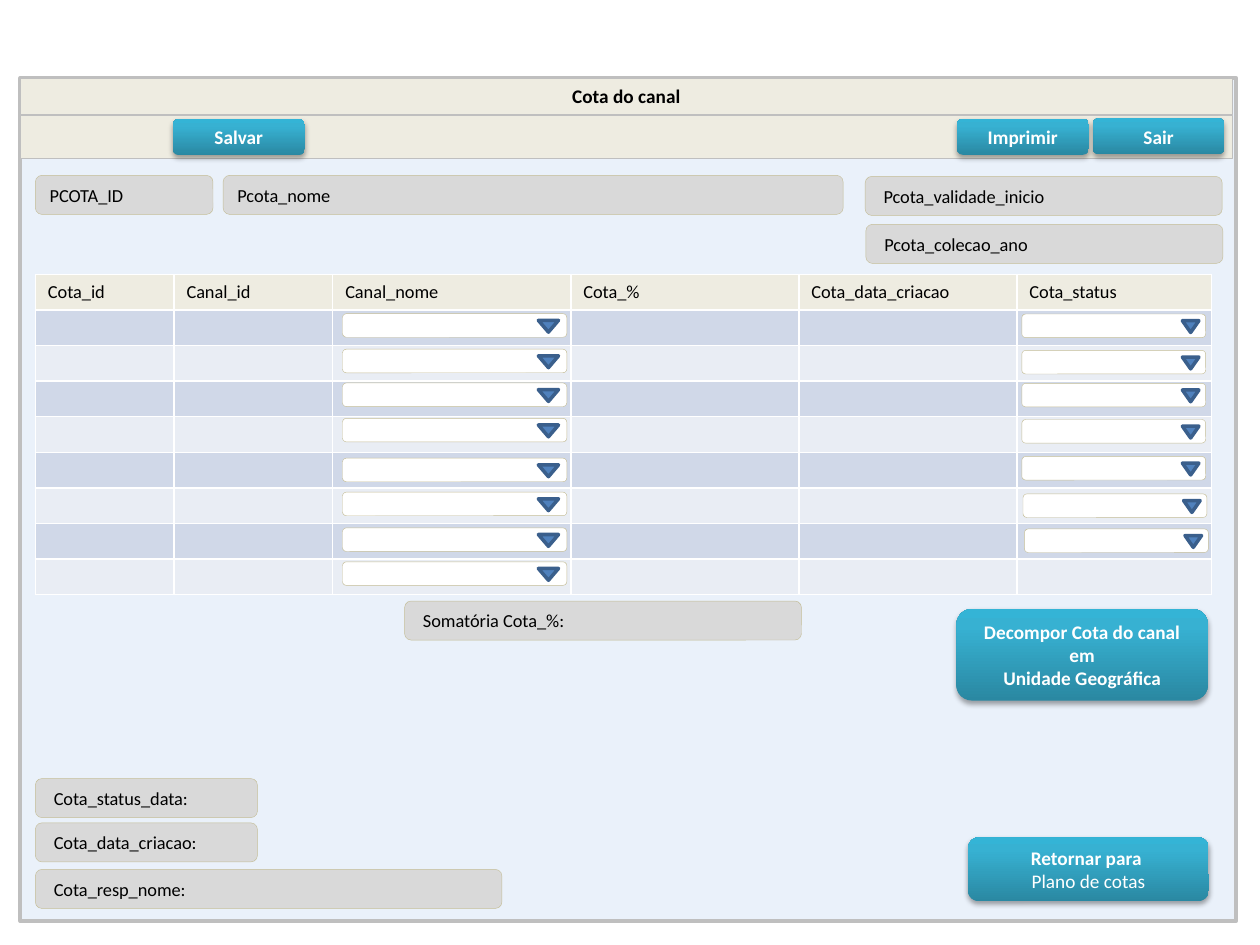
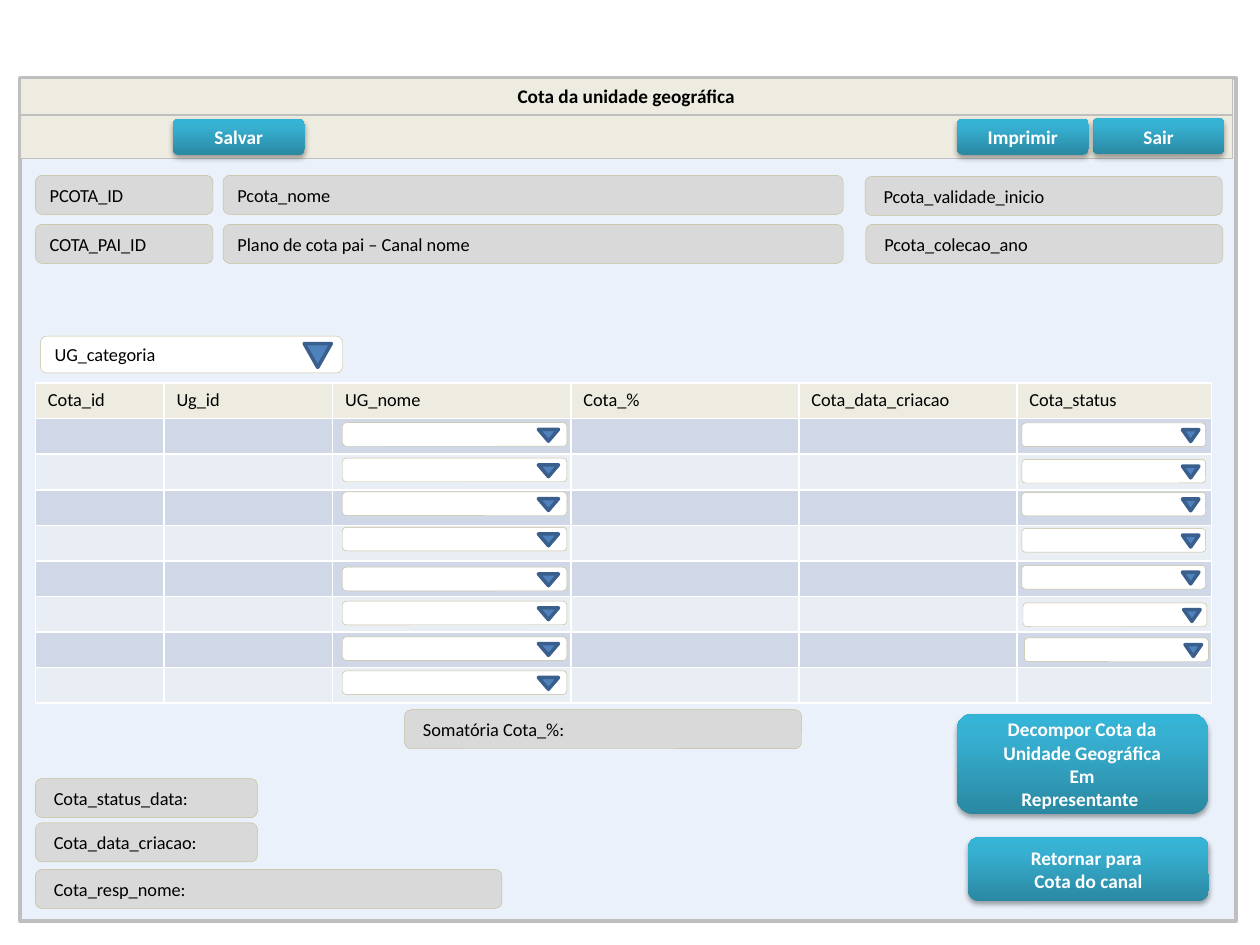
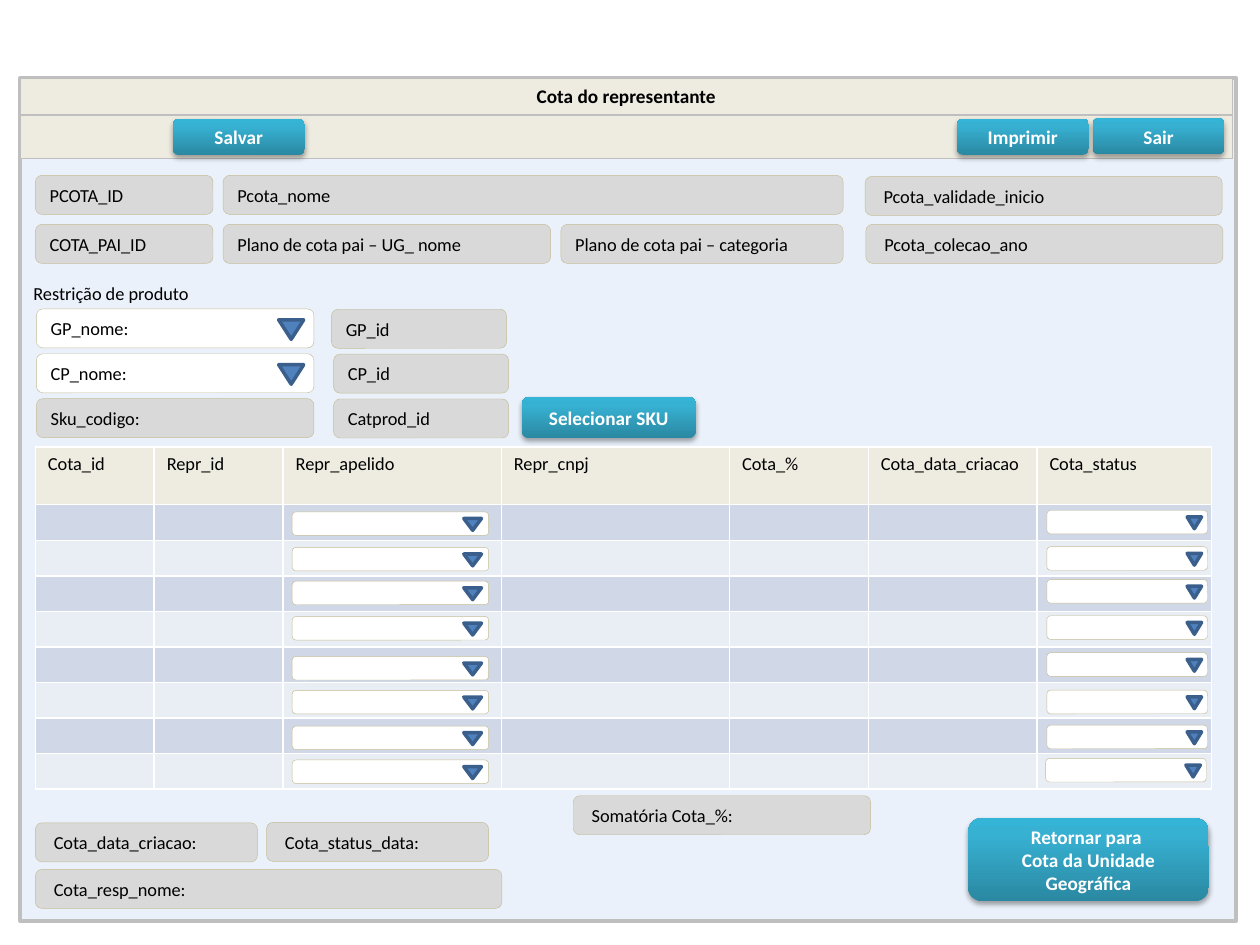
import pptx
import pptx.dml.color
import pptx.enum.shapes
import pptx.enum.text
import pptx.oxml.ns
import pptx.util
import lxml.etree

Pt = pptx.util.Pt
qn = pptx.oxml.ns.qn
SHAPE = pptx.enum.shapes.MSO_SHAPE
ALIGN = pptx.enum.text.PP_ALIGN
ANCHOR = pptx.enum.text.MSO_ANCHOR

COLORS = {
    "window": "EAF1FA", "border": "BFBFBF", "bar": "EEECE1",
    "field": "D9D9D9", "field_line": "C4BD97", "white": "FFFFFF", "black": "000000",
    "arrow": "4F81BD", "arrow_line": "3A5F8C", "band_dark": "D0D8E8", "band_light": "E9EDF4",
    "button_bottom": "2A88A2", "button_middle": "37B1D2", "button_top": "34B4D6",
}
FONT = "Calibri"
FIELD_SIZE, BUTTON_SIZE = 10.5, 11
FIELD_H, ROW_H, PICKER_H = 22.3, 20.35, 13.5

WINDOW = (11.6, 44.6, 694.8, 481.7)
HEADER = (20.2, 100.2, 678.6, 50.3)
FOOTER_LEFT = 20.2
RETURN_LEFT, RETURN_W = 553.2, 137.5
# Tops of the pickers in a column, measured from the first one
NAME_STEPS = [0, 20.3, 39.6, 59.8, 82.6, 102, 122.4, 141.8]
STATUS_STEPS = [0, 20.8, 39.6, 60.3, 81.4, 102.8, 122.8, 141.8]


def rgb(name):
    return pptx.dml.color.RGBColor.from_string(COLORS[name])


def write(frame, text, size=FIELD_SIZE, color="black", bold=False, align=ALIGN.LEFT,
          anchor=ANCHOR.MIDDLE, plain_lines=()):
    """Fill a text frame, one paragraph for each line."""
    frame.word_wrap = True
    frame.vertical_anchor = anchor
    for number, line in enumerate(text.split("\n")):
        paragraph = frame.add_paragraph() if number else frame.paragraphs[0]
        paragraph.alignment = align
        run = paragraph.add_run()
        run.text = line
        run.font.name = FONT
        run.font.size = Pt(size)
        run.font.bold = bold and number not in plain_lines
        run.font.color.rgb = rgb(color)


def paint(shape, fill, line, width):
    shape.fill.solid()
    shape.fill.fore_color.rgb = rgb(fill)
    shape.line.color.rgb = rgb(line)
    shape.line.width = Pt(width)


def draw(parent, kind, box, fill=None, line=None, width=0.25):
    shape = parent.shapes.add_shape(kind, *map(Pt, box))
    shape.shadow.inherit = False
    if fill:
        paint(shape, fill, line, width)
    else:
        shape.fill.background()
        shape.line.fill.background()
    return shape


def add_color(parent, name):
    return lxml.etree.SubElement(parent, qn("a:srgbClr"), val=COLORS[name])


def field(parent, box, text="", fill="field"):
    shape = draw(parent, SHAPE.ROUNDED_RECTANGLE, box, fill, "field_line")
    if text:
        write(shape.text_frame, text)


def button(slide, box, text, **style):
    shape = draw(slide, SHAPE.ROUNDED_RECTANGLE, box)
    # Three-stop gradient, dark at the bottom
    shape.fill.gradient()
    shape.fill.gradient_angle = 90
    properties = shape.element.spPr
    stops = properties.find(".//" + qn("a:gsLst"))
    stops.clear()
    for share, name in ((0, "button_bottom"), (80, "button_middle"), (100, "button_top")):
        add_color(lxml.etree.SubElement(stops, qn("a:gs"), pos=str(share * 1000)), name)
    # Soft shadow below
    shadow = lxml.etree.SubElement(
        properties.find(qn("a:effectLst")), qn("a:outerShdw"),
        blurRad=str(Pt(3.1)), dist=str(Pt(1.8)), dir="5400000", rotWithShape="0")
    lxml.etree.SubElement(add_color(shadow, "black"), qn("a:alpha"), val="35000")
    write(shape.text_frame, text, size=BUTTON_SIZE, color="white", bold=True,
          align=ALIGN.CENTER, **style)


def picker(slide, box, text="", arrow_top=0.28, arrow_height=0.5):
    """Drop-down field with its arrow at the right end."""
    left, top, width, height = box
    group = slide.shapes.add_group_shape()
    field(group, box, text, fill="white")
    arrow_box = (left + 0.873 * width, top + arrow_top * height,
                 0.09 * width, arrow_height * height)
    arrow = draw(group, SHAPE.FLOWCHART_EXTRACT, arrow_box, "arrow", "arrow_line", 2)
    arrow.rotation = 180


def window(slide, box, title):
    """Frame, title bar and toolbar."""
    left, top, width, height = box
    bar_w = width - 2.2
    frame = draw(slide, SHAPE.RECTANGLE, box, "window", "border", 2.25)
    heading = slide.shapes.title
    heading.element.addprevious(frame.element)
    heading.left, heading.top, heading.width, heading.height = map(Pt, (left, top, bar_w, 20.9))
    paint(heading, "bar", "border", 0.75)
    heading.text_frame.auto_size = pptx.enum.text.MSO_AUTO_SIZE.NONE
    write(heading.text_frame, title, size=11, bold=True, align=ALIGN.CENTER, anchor=ANCHOR.TOP)
    draw(slide, SHAPE.RECTANGLE, (left, top + 21.6, bar_w, 24.5), "bar", "border", 0.75)
    for offset, drop, label in ((612.8, 23, "Sair"), (87.2, 23.4, "Salvar"),
                                (535.2, 23.2, "Imprimir")):
        button(slide, (left + offset, top + drop, 75.4, 20.7), label)


def plan_header(slide, box, parents):
    """Plan fields; parents holds (offset, width, text) for the second row."""
    left, top, width, height = box
    second = top + height - FIELD_H
    right_w = 204
    field(slide, (left, top, 101.5, FIELD_H), "PCOTA_ID")
    field(slide, (left + 107.3, top, 354.3, FIELD_H), "Pcota_nome")
    field(slide, (left + width - right_w - 0.4, top + 0.6, right_w, FIELD_H),
          " Pcota_validade_inicio")
    field(slide, (left + width - right_w, second, right_w, FIELD_H), " Pcota_colecao_ano")
    for offset, parent_w, text in parents:
        field(slide, (left + offset, second, parent_w, FIELD_H), text)


def quota_table(slide, box, columns, header_h=ROW_H):
    """Table of eight empty rows; columns holds (heading, width)."""
    left, top, width, height = box
    rows = len(NAME_STEPS) + 1
    table = slide.shapes.add_table(rows, len(columns), *map(Pt, box)).table
    for row_number, row in enumerate(table.rows):
        row.height = Pt(ROW_H if row_number else header_h)
        band = "band_dark" if row_number % 2 else "band_light"
        for cell, (heading, column_w) in zip(row.cells, columns):
            cell.fill.solid()
            cell.fill.fore_color.rgb = rgb(band if row_number else "bar")
            if row_number:
                paragraph = cell.text_frame.paragraphs[0]._p
                lxml.etree.SubElement(paragraph, qn("a:endParaRPr"), sz=str(int(FIELD_SIZE * 100)))
            else:
                write(cell.text_frame, heading, anchor=ANCHOR.TOP)
    for column, (heading, column_w) in zip(table.columns, columns):
        column.width = Pt(column_w)


def quota_grid(slide, left, top, columns, name_picker, status_picker, status_shifts,
               total, header_h=ROW_H):
    """Table, its pickers (dx, dy, width in their column) and the total below."""
    widths = [column_w for heading, column_w in columns]
    height = header_h + len(NAME_STEPS) * ROW_H
    quota_table(slide, (left, top, sum(widths), height), columns, header_h)
    # Pickers in the third and the last column
    for index, (dx, dy, picker_w), steps, shifts in (
            (2, name_picker, NAME_STEPS, [0] * len(NAME_STEPS)),
            (len(columns) - 1, status_picker, STATUS_STEPS, status_shifts)):
        column_left = left + sum(widths[:index])
        for step, shift in zip(steps, shifts):
            picker(slide, (column_left + dx + shift, top + header_h + dy + step,
                           picker_w, PICKER_H))
    total_dx, total_w = total
    field(slide, (left + total_dx, top + height + 3.5, total_w, FIELD_H), " Somatória Cota_%:")


def record_footer(slide, left, top, status_dx, status_dy):
    """Creation, status and owner fields."""
    field(slide, (left, top, 126.9, FIELD_H), " Cota_data_criacao:")
    field(slide, (left, top + 26.6, 266.6, FIELD_H), " Cota_resp_nome:")
    field(slide, (left + status_dx, top + status_dy, 126.9, FIELD_H), " Cota_status_data:")


def product_filter(slide, box):
    """Product restriction fields."""
    left, top, width, height = box
    label = draw(slide, SHAPE.ROUND_2_SAME_RECTANGLE, (left - 10, top - 19.8, 287.3, 25.2))
    write(label.text_frame, "Restrição de produto", anchor=ANCHOR.TOP)
    pitch = (height - FIELD_H) / 2
    for row, (name, code) in enumerate((("GP_nome:", "GP_id"), ("CP_nome:", "CP_id"),
                                        ("Sku_codigo:", "Catprod_id"))):
        row_top = top + row * pitch
        name_box = (left, row_top, 158.6, FIELD_H)
        if row < 2:
            picker(slide, name_box, name)
        else:
            field(slide, name_box, name)
        field(slide, (left + 168.6 + min(row, 1) * 1.2, row_top + 0.2, 100.1, FIELD_H), code)
    button(slide, (left + width - 99.4, top + height - 23.2, 99.4, 23.5), "Selecionar SKU")


def channel_slide(slide):
    window(slide, WINDOW, "Cota do canal")
    plan_header(slide, HEADER, [])
    columns = [("Cota_id", 79.2), ("Canal_id", 90.7), ("Canal_nome", 136.1),
               ("Cota_%", 130.3), ("Cota_data_criacao", 124.6), ("Cota_status", 111.3)]
    quota_grid(slide, 20.2, 156.8, columns, (5.6, 2.1, 128.2), (2.8, 2.3, 105.1),
               [0, 0, 0, 0, 0, 0.7, 1.5], (211, 226.8))
    record_footer(slide, FOOTER_LEFT, 470.2, 0, -25.3)
    button(slide, (RETURN_LEFT, 478.5, RETURN_W, 36.5), "Retornar para \nPlano de cotas",
           plain_lines=(1,))
    button(slide, (546.6, 348, 143.6, 52.3), "Decompor Cota do canal em\nUnidade Geográfica")


def unit_slide(slide):
    window(slide, WINDOW, "Cota da unidade geográfica")
    plan_header(slide, HEADER, [(0, 101.5, "COTA_PAI_ID"),
                                (107.3, 354.3, "Plano de cota pai – Canal nome")])
    picker(slide, (23.1, 192.1, 172.6, 21), "UG_categoria", arrow_top=0.2, arrow_height=0.65)
    columns = [("Cota_id", 73.5), ("Ug_id", 96.4), ("UG_nome", 136.1),
               ("Cota_%", 130.3), ("Cota_data_criacao", 124.6), ("Cota_status", 111.3)]
    quota_grid(slide, 20.2, 218.9, columns, (5.6, 2.3, 128.2), (2.8, 2.5, 105.1),
               [0, 0, 0, 0, 0, 0.7, 1.5], (211, 226.8))
    record_footer(slide, FOOTER_LEFT, 470.2, 0, -25.3)
    button(slide, (RETURN_LEFT, 478.5, RETURN_W, 36.5), "Retornar para \nCota do canal")
    button(slide, (546.6, 407.8, 143.6, 57.5),
           "Decompor Cota da Unidade Geográfica\nEm\nRepresentante ")


def representative_slide(slide):
    window(slide, WINDOW, "Cota do representante")
    plan_header(slide, HEADER, [(0, 101.5, "COTA_PAI_ID"),
                                (107.3, 187.2, "Plano de cota pai – UG_ nome"),
                                (300.3, 161.3, "Plano de cota pai – categoria")])
    product_filter(slide, (20.8, 176.5, 376.8, 73.6))
    columns = [("Cota_id", 67.9), ("Repr_id", 73.7), ("Repr_apelido", 124.7),
               ("Repr_cnpj", 130.4), ("Cota_%", 79.3), ("Cota_data_criacao", 96.4),
               ("Cota_status", 99.8)]
    quota_grid(slide, 20.2, 255.4, columns, (5.2, 4.1, 112.3), (5.6, 3.2, 91.8),
               [0, 0, 0, 0, 0, 0, 0, -0.7], (307.4, 169.9), header_h=33)
    record_footer(slide, FOOTER_LEFT, 470.2, 132.1, -0.3)
    button(slide, (RETURN_LEFT, 467.4, RETURN_W, 47.6),
           "Retornar para \nCota da Unidade Geográfica")


def main():
    deck = pptx.Presentation()
    deck.slide_width, deck.slide_height = Pt(720), Pt(540)
    title_only = deck.slide_layouts[5]
    for build in (channel_slide, unit_slide, representative_slide):
        build(deck.slides.add_slide(title_only))
    deck.save("out.pptx")


if __name__ == "__main__":
    main()
